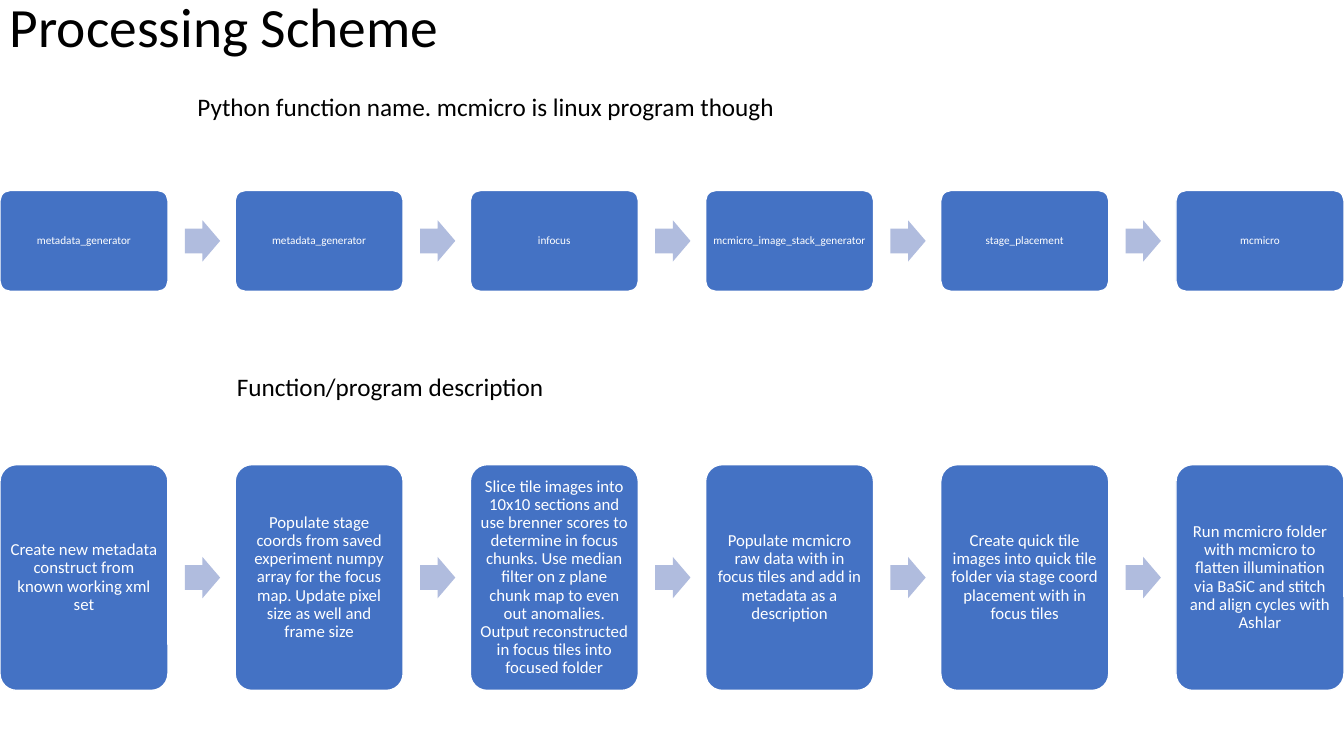
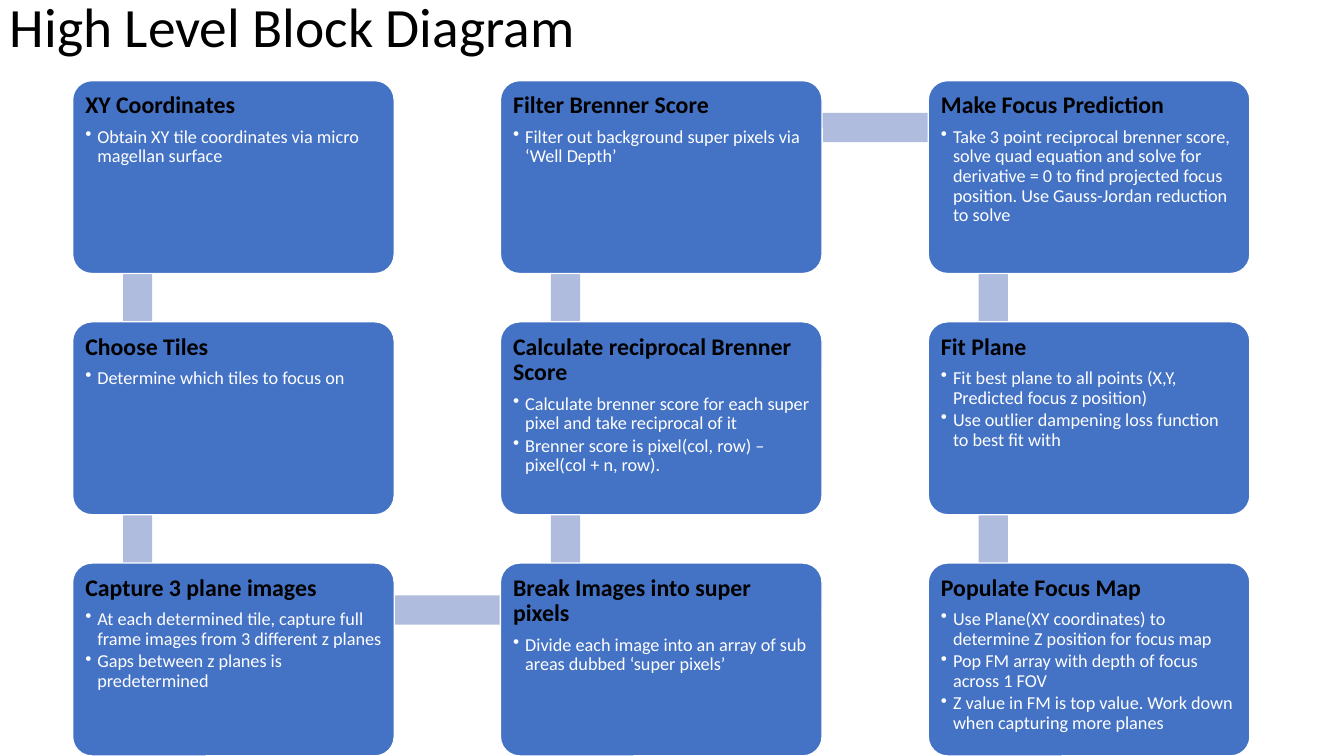
from itertools import pairwise

from lxml.etree import SubElement
from pptx import Presentation
from pptx.dml.color import RGBColor
from pptx.enum.shapes import MSO_SHAPE as Shape
from pptx.enum.text import MSO_ANCHOR as Anchor, PP_ALIGN as Align
from pptx.oxml.ns import qn
from pptx.util import Inches, Pt

WIDTH, HEIGHT = 13.33, 7.5
FONT = "Calibri"
BLUE, PALE, WHITE, BLACK = "4472C4", "B0BCDE", "FFFFFF", "000000"

# Six boxes with gaps of 0.4 box fill the slide's width
STEP_WIDTH = WIDTH / 8
STEP_PITCH = STEP_WIDTH * 1.4

# Three rows with gaps of a quarter box reach the slide's foot
GRID_LEFT, GRID_TOP = 0.72, 0.8
BLOCK_HEIGHT = (HEIGHT - GRID_TOP) / 3.5
BLOCK_WIDTH = BLOCK_HEIGHT / 0.6
ROW_PITCH = BLOCK_HEIGHT * 1.25
COLUMN_PITCH = BLOCK_WIDTH * 1.33
LINK_THICKNESS = 0.29

FUNCTIONS = ["metadata_generator", "metadata_generator", "infocus",
             "mcmicro_image_stack_generator", "stage_placement", "mcmicro"]
DESCRIPTIONS = [
    "Create new metadata construct from known working xml set",
    "Populate stage coords from saved experiment numpy array for the focus map. "
    "Update pixel size as well and frame size",
    "Slice tile images into 10x10 sections and use brenner scores to determine in "
    "focus chunks. Use median filter on z plane chunk map to even out anomalies. "
    "Output reconstructed in focus tiles into focused folder",
    "Populate mcmicro raw data with in focus tiles and add in metadata as a description",
    "Create quick tile images into quick tile folder via stage coord placement with "
    "in focus tiles",
    "Run mcmicro folder with mcmicro to flatten illumination via BaSiC and stitch and "
    "align cycles with Ashlar",
]
# Blocks in the order of the flow
BLOCKS = [
    ("XY Coordinates", ["Obtain XY tile coordinates via micro magellan surface"]),
    ("Choose Tiles", ["Determine which tiles to focus on"]),
    ("Capture 3 plane images", [
        "At each determined tile, capture full frame images from 3 different z planes",
        "Gaps between z planes is predetermined"]),
    ("Break Images into super pixels", [
        "Divide each image into an array of sub areas dubbed ‘super pixels’"]),
    ("Calculate reciprocal Brenner Score", [
        "Calculate brenner score for each super pixel and take reciprocal of it",
        "Brenner score is pixel(col, row) – pixel(col + n, row)."]),
    ("Filter Brenner Score", [
        "Filter out background super pixels via ‘Well Depth’"]),
    ("Make Focus Prediction", [
        "Take 3 point reciprocal brenner score, solve quad equation and solve for "
        "derivative = 0 to find projected focus position. Use Gauss-Jordan reduction "
        "to solve"]),
    ("Fit Plane", [
        "Fit best plane to all points (X,Y, Predicted focus z position)",
        "Use outlier dampening loss function to best fit with"]),
    ("Populate Focus Map", [
        "Use Plane(XY coordinates) to determine Z position for focus map",
        "Pop FM array with depth of focus across 1 FOV",
        "Z value in FM is top value. Work down when capturing more planes"]),
]


def color(value):
    return RGBColor.from_string(value)


def style(para, size, tint, bold=False):
    font = para.font
    font.name, font.size, font.bold = FONT, Pt(size), bold
    font.color.rgb = color(tint)


def add_label(page, text, left, top, width, height, size, wrap=False):
    box = page.shapes.add_textbox(*map(Inches, (left, top, width, height)))
    frame = box.text_frame
    frame.word_wrap = wrap
    para = frame.paragraphs[0]
    para.text = text
    style(para, size, BLACK)
    return frame


def add_title(page, text):
    frame = add_label(page, text, 0, 0, 11.5, 0.58, 39.6, wrap=True)
    frame.vertical_anchor = Anchor.MIDDLE
    frame.paragraphs[0].line_spacing = 0.9


def add_filled(page, kind, left, top, width, height, fill):
    shape = page.shapes.add_shape(kind, *map(Inches, (left, top, width, height)))
    shape.shadow.inherit = False
    shape.fill.solid()
    shape.fill.fore_color.rgb = color(fill)
    shape.line.fill.background()
    return shape


def add_box(page, left, top, width, height, margin, anchor):
    """Add a rounded blue box and return its text frame."""
    box = add_filled(page, Shape.ROUNDED_RECTANGLE, left, top, width, height, BLUE)
    box.adjustments[0] = 0.1
    box.line.color.rgb = color(WHITE)
    box.line.width = Pt(1)
    frame = box.text_frame
    frame.word_wrap = True
    frame.vertical_anchor = anchor
    frame.margin_left = frame.margin_right = Inches(margin)
    frame.margin_top = frame.margin_bottom = Inches(margin)
    return frame


def add_process(page, steps, middle, height, size, margin):
    """Add a row of boxes, with arrows between them, centred on middle."""
    arrow_width, arrow_height = 0.35, 0.41
    for index, step in enumerate(steps):
        left = index * STEP_PITCH
        if index:
            arrow = add_filled(page, Shape.RIGHT_ARROW, left - 0.3 * STEP_WIDTH,
                               middle - arrow_height / 2, arrow_width, arrow_height, PALE)
            arrow.adjustments[0] = 0.6
        frame = add_box(page, left, middle - height / 2, STEP_WIDTH, height,
                        margin, Anchor.MIDDLE)
        para = frame.paragraphs[0]
        para.text = step
        para.alignment = Align.CENTER
        para.line_spacing = 0.9
        style(para, size, WHITE)


def add_bullet(para):
    props = para._p.get_or_add_pPr()
    props.set("marL", str(Inches(0.12)))
    props.set("indent", str(-Inches(0.12)))
    SubElement(props, qn("a:buChar")).set("char", "•")


def add_block(page, left, top, heading, points):
    frame = add_box(page, left, top, BLOCK_WIDTH, BLOCK_HEIGHT, 0.07, Anchor.TOP)
    para = frame.paragraphs[0]
    para.text = heading
    para.alignment = Align.LEFT
    para.line_spacing = 0.9
    para.space_after = Pt(6)
    style(para, 17, BLACK, bold=True)
    for point in points:
        para = frame.add_paragraph()
        para.text = point
        para.level = 1
        add_bullet(para)
        para.alignment = Align.LEFT
        para.line_spacing = 0.9
        para.space_after = Pt(2)
        style(para, 13, WHITE)


def block_position(index):
    """Place a block on a path that runs down, up and down the columns."""
    column, row = divmod(index, 3)
    if column % 2:
        row = 2 - row
    return GRID_LEFT + column * COLUMN_PITCH, GRID_TOP + row * ROW_PITCH


def add_link(page, start, end):
    left, top = min(start, end)
    if start[0] == end[0]:
        area = left + 0.5, top + 0.48, LINK_THICKNESS, ROW_PITCH
    else:
        area = left + 0.65, top + 0.32, COLUMN_PITCH, LINK_THICKNESS
    add_filled(page, Shape.RECTANGLE, *area, PALE)


def build_scheme(page):
    add_title(page, "Processing Scheme")
    add_process(page, FUNCTIONS, 2.39, 1, 8, 0.03)
    add_process(page, DESCRIPTIONS, 5.73, 2.24, 12, 0.05)
    add_label(page, "Python function name. mcmicro is linux program though",
              1.86, 0.86, 5.99, 0.4, 18)
    add_label(page, "Function/program description", 2.25, 3.63, 3.28, 0.4, 18)


def build_diagram(page):
    add_title(page, "High Level Block Diagram")
    places = [block_position(index) for index in range(len(BLOCKS))]
    for start, end in pairwise(places):
        add_link(page, start, end)
    for place, (heading, points) in zip(places, BLOCKS):
        add_block(page, *place, heading, points)


def main():
    deck = Presentation()
    deck.slide_width, deck.slide_height = Inches(WIDTH), Inches(HEIGHT)
    blank = deck.slide_layouts[6]
    for build in (build_scheme, build_diagram):
        build(deck.slides.add_slide(blank))
    deck.save("out.pptx")


if __name__ == "__main__":
    main()
